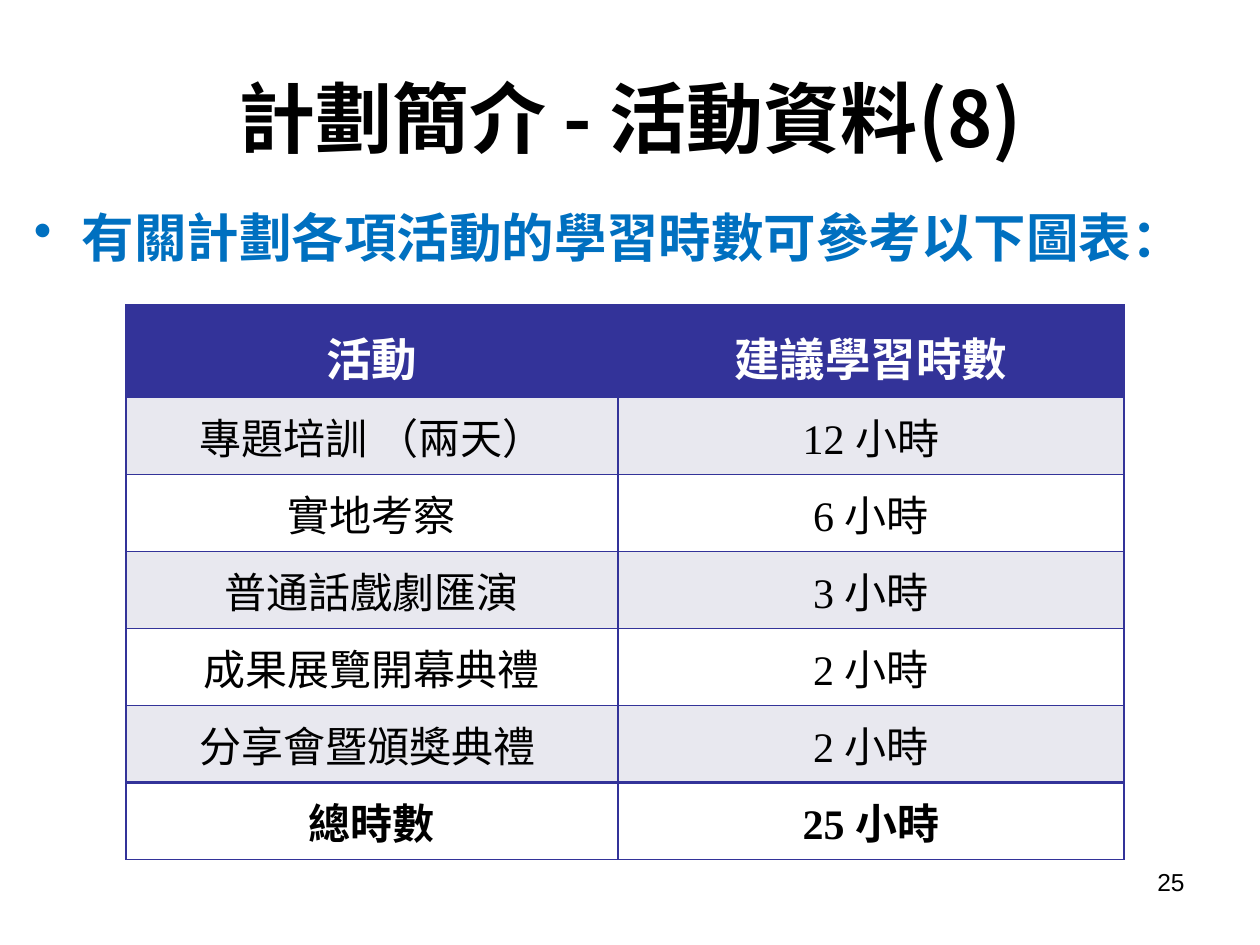
from lxml import etree
from pptx import Presentation
from pptx import util as u
from pptx.dml import color
from pptx.enum import text
from pptx.oxml import ns

WIDTH, HEIGHT = 10, 7.5
CJK, SERIF, SANS = "Noto Sans CJK TC", "Times New Roman", "Arial"
BLACK, WHITE, BLUE, NAVY, BAND = "000000", "FFFFFF", "0070C0", "333399", "E8E8EF"
THIN, THICK = 1, 2.25

ROWS = [
    ("活動", "建議學習時數"),
    ("專題培訓 （兩天）", "12 小時"),
    ("實地考察", "6 小時"),
    ("普通話戲劇匯演", "3 小時"),
    ("成果展覽開幕典禮", "2 小時"),
    ("分享會暨頒獎典禮 ", "2 小時"),
    ("總時數", "25 小時"),
]


def rgb(value):
    """Turn a hex string into a colour."""
    return color.RGBColor.from_string(value)


def child(parent, tag, **attributes):
    """Append a DrawingML element to a parent."""
    return etree.SubElement(parent, ns.qn(tag), attributes)


def write(frame, words, size, font=CJK, ink=BLACK, bold=False,
          align=text.PP_ALIGN.CENTER, bullet=None, indent=0.38):
    """Write one formatted paragraph into a text frame."""
    frame.word_wrap = True
    para = frame.paragraphs[0]
    para.alignment = align
    if bullet:
        props = para._p.get_or_add_pPr()
        props.set("marL", str(u.Inches(indent)))
        props.set("indent", str(-u.Inches(indent)))
        child(props, "a:buChar", char=bullet)
    span = para.add_run()
    span.text = words
    span.font.size = u.Pt(size)
    span.font.bold = bold
    span.font.color.rgb = rgb(ink)
    span.font.name = font
    child(span._r.get_or_add_rPr(), "a:ea", typeface=CJK)


def add_text(page, area, words, size, anchor=text.MSO_ANCHOR.TOP, **style):
    """Place a text box in an area given in inches."""
    box = page.shapes.add_textbox(*map(u.Inches, area))
    box.text_frame.vertical_anchor = anchor
    write(box.text_frame, words, size, **style)


def set_borders(cell, top, bottom):
    """Draw the four borders of a cell."""
    props = cell._tc.get_or_add_tcPr()
    widths = {"a:lnL": THIN, "a:lnR": THIN, "a:lnT": top, "a:lnB": bottom}
    for position, (tag, width) in enumerate(widths.items()):
        line = etree.Element(ns.qn(tag), w=str(u.Pt(width)))
        child(child(line, "a:solidFill"), "a:srgbClr", val=NAVY)
        props.insert(position, line)


def fill_cell(cell, words, row, last):
    """Fill and format one cell according to its row."""
    header, total = row == 0, row == last
    cell.fill.solid()
    cell.fill.fore_color.rgb = rgb(NAVY if header else BAND if row % 2 else WHITE)
    cell.vertical_anchor = text.MSO_ANCHOR.TOP if header else text.MSO_ANCHOR.MIDDLE
    cell.margin_left = cell.margin_right = u.Inches(0.15 if header else 0.1)
    cell.margin_top = cell.margin_bottom = u.Inches(0.15 if header else 0.05)
    write(cell.text_frame, words, 26 if header else 24, font=SERIF,
          ink=WHITE if header else BLACK, bold=header or total)
    set_borders(cell, THICK if total else THIN, THICK if row == last - 1 else THIN)


def add_hours_table(page, area, rows, first_share=0.493, header_share=0.166):
    """Place the table of learning hours in an area."""
    left, top, width, height = area
    table = page.shapes.add_table(len(rows), 2, *map(u.Inches, area)).table
    last = len(rows) - 1
    for column, share in zip(table.columns, (first_share, 1 - first_share)):
        column.width = u.Inches(width * share)
    for row, words in enumerate(rows):
        share = (1 - header_share) / last if row else header_share
        table.rows[row].height = u.Inches(height * share)
        for column, entry in enumerate(words):
            fill_cell(table.cell(row, column), entry, row, last)


def build_page(page):
    """Place the title, lead sentence, table and page number."""
    margin = WIDTH * 0.05
    inner = WIDTH - 2 * margin
    add_text(page, (margin, HEIGHT * 0.04, inner, 1.25), "計劃簡介 - 活動資料(8)", 44,
             anchor=text.MSO_ANCHOR.MIDDLE, bold=True)
    add_text(page, (0.17, 1.58, WIDTH - 0.17, 0.75),
             "有關計劃各項活動的學習時數可參考以下圖表：", 30,
             ink=BLUE, bold=True, align=text.PP_ALIGN.LEFT, bullet="•")
    add_hours_table(page, (WIDTH * 0.1, 2.42, 7.92, 4.4), ROWS)
    number_width = 2.33
    add_text(page, (WIDTH - margin - number_width, 6.83, number_width, 0.52), "25", 14,
             font=SANS, align=text.PP_ALIGN.RIGHT)


def main():
    """Build and save the deck."""
    deck = Presentation()
    deck.slide_width, deck.slide_height = u.Inches(WIDTH), u.Inches(HEIGHT)
    build_page(deck.slides.add_slide(deck.slide_layouts[6]))
    deck.save("out.pptx")


if __name__ == "__main__":
    main()
